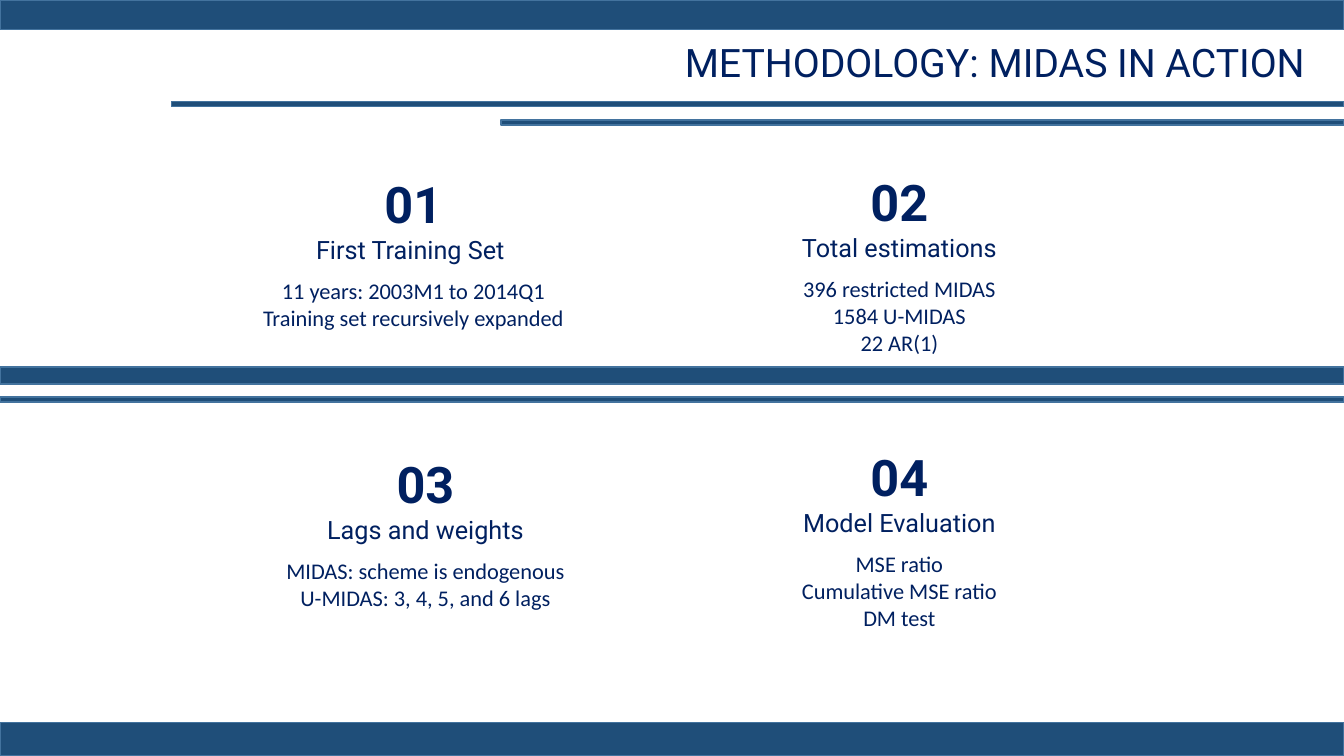
import pptx
import pptx.util
import pptx.dml.color
import pptx.enum.shapes
import pptx.enum.text

Inches, Pt = pptx.util.Inches, pptx.util.Pt
Align = pptx.enum.text.PP_ALIGN
Anchor = pptx.enum.text.MSO_ANCHOR

# Content
WIDE, HIGH = 13.33, 7.5
NAVY, BLUE, EDGE = "002060", "1F4E79", "43739E"
TITLE = "METHODOLOGY: MIDAS IN ACTION"

# Bars run to the right edge: left, top, height
BARS = [
    (0, 0, 0.29),
    (1.7, 1.01, 0.05),
    (4.97, 1.19, 0.05),
    (0, 3.64, 0.17),
    (0, 3.94, 0.05),
    (0, 7.17, 0.33),
]

# Steps: left, top, height, heading, details
STEPS = [
    (2.14, 1.72, 1.28, "First Training Set ",
     ["11 years: 2003M1 to 2014Q1", "Training set recursively expanded"]),
    (6.96, 1.7, 1.84, "Total estimations",
     ["396 restricted MIDAS", "1584 U-MIDAS", "22 AR(1)"]),
    (2.26, 4.5, 1.84, "Lags and weights",
     ["MIDAS: scheme is endogenous", "U-MIDAS: 3, 4, 5, and 6 lags"]),
    (6.96, 4.43, 1.84, "Model Evaluation",
     ["MSE ratio", "Cumulative MSE ratio", "DM test"]),
]
STEP_W = 3.92


def color(code):
    return pptx.dml.color.RGBColor.from_string(code)


def add_bar(left, top, high):
    bar = slide.shapes.add_shape(
        pptx.enum.shapes.MSO_SHAPE.RECTANGLE,
        Inches(left), Inches(top), Inches(WIDE - left), Inches(high))
    bar.shadow.inherit = False
    bar.fill.solid()
    bar.fill.fore_color.rgb = color(BLUE)
    bar.line.color.rgb = color(EDGE)
    bar.line.width = Pt(1)


def add_box(left, top, wide, high, anchor=Anchor.TOP):
    box = slide.shapes.add_textbox(
        Inches(left), Inches(top), Inches(wide), Inches(high))
    frame = box.text_frame
    frame.word_wrap = True
    frame.vertical_anchor = anchor
    frame.margin_left = frame.margin_right = 0
    frame.margin_top = frame.margin_bottom = 0
    return frame


def add_text(frame, text, size=16, font="Roboto", bold=False,
             align=Align.CENTER, after=0, line=None):
    para = frame.paragraphs[0]
    if para.runs:
        para = frame.add_paragraph()
    para.alignment = align
    para.space_after = Pt(after)
    if line:
        para.line_spacing = line
    run = para.add_run()
    run.text = text
    run.font.size = Pt(size)
    run.font.name = font
    run.font.bold = bold
    run.font.color.rgb = color(NAVY)


deck = pptx.Presentation()
deck.slide_width, deck.slide_height = Inches(WIDE), Inches(HIGH)
slide = deck.slides.add_slide(deck.slide_layouts[6])

# Bars and title
for bar in BARS:
    add_bar(*bar)
head = add_box(3.43, 0.4, 9.51, 0.49, anchor=Anchor.MIDDLE)
add_text(head, TITLE, size=28, align=Align.RIGHT, line=0.9)

# Numbered steps
for num, (left, top, high, name, facts) in enumerate(STEPS, 1):
    frame = add_box(left, top, STEP_W, high)
    add_text(frame, f"{num:02}", size=36, bold=True)
    add_text(frame, name, size=18, after=9.5)
    for fact in facts:
        add_text(frame, fact, font="Calibri")

deck.save("out.pptx")
